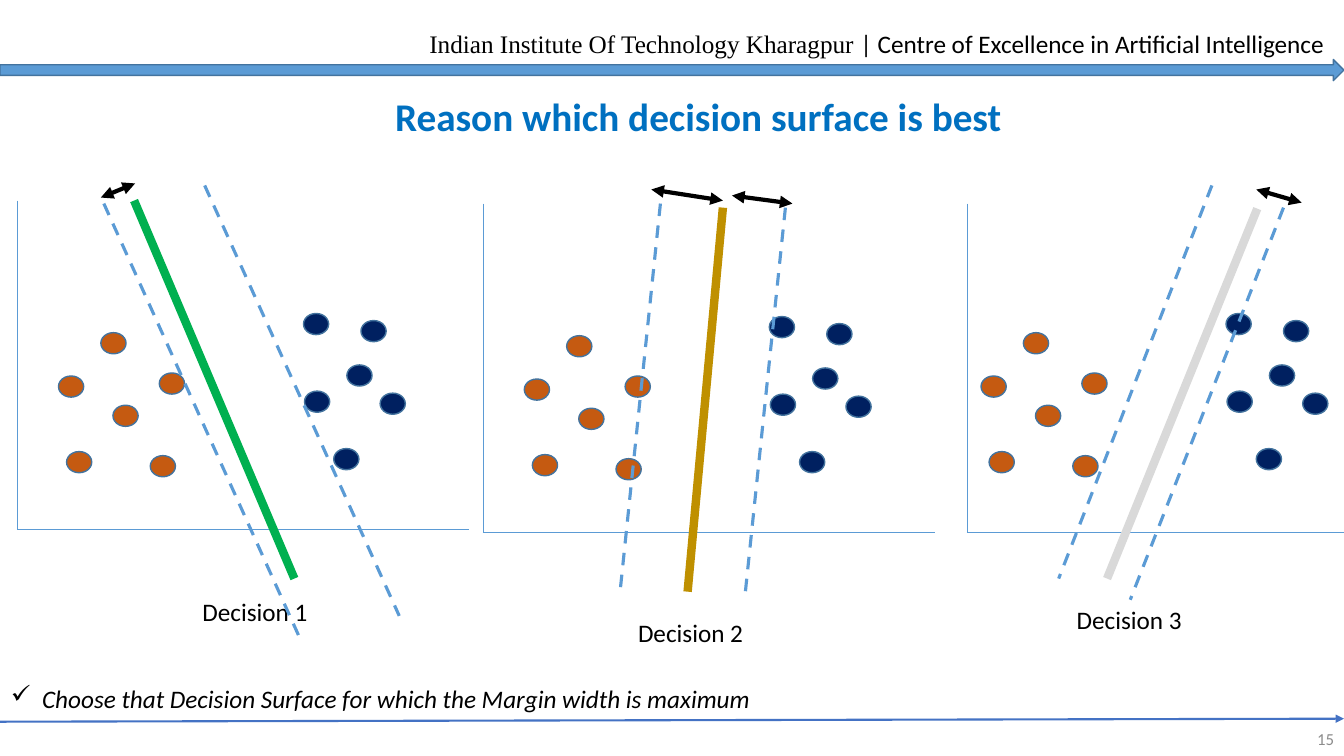
"""Build the slide that compares the margins of three decision surfaces."""
import pptx
import pptx.dml.color
import pptx.enum.dml
import pptx.enum.shapes
import pptx.enum.text
import pptx.oxml.ns
import pptx.util
from lxml import etree

Inches = pptx.util.Inches
Pt = pptx.util.Pt
RGBColor = pptx.dml.color.RGBColor
MSO_SHAPE = pptx.enum.shapes.MSO_SHAPE
PP_ALIGN = pptx.enum.text.PP_ALIGN
qn = pptx.oxml.ns.qn

BLACK = RGBColor(0x00, 0x00, 0x00)
GRAY = RGBColor(0x8C, 0x8C, 0x8C)
TITLE_BLUE = RGBColor(0x00, 0x70, 0xC0)
LIGHT_BLUE = RGBColor(0x5B, 0x9B, 0xD5)
FOOTER_BLUE = RGBColor(0x44, 0x72, 0xC4)
OUTLINE_BLUE = RGBColor(0x43, 0x73, 0x9E)
NAVY = RGBColor(0x00, 0x20, 0x60)
ORANGE = RGBColor(0xC5, 0x5A, 0x11)
GREEN = RGBColor(0x00, 0xB0, 0x50)
GOLD = RGBColor(0xBF, 0x90, 0x00)
SILVER = RGBColor(0xD9, 0xD9, 0xD9)

presentation = pptx.Presentation()
presentation.slide_width = Inches(13.33)
presentation.slide_height = Inches(7.5)
slide = presentation.slides.add_slide(presentation.slide_layouts[6])


def add_text(text, left, top, width, height=0.4, size=18, color=BLACK, font="Calibri",
             bold=False, italic=False, align=PP_ALIGN.LEFT, wrap=False,
             anchor=pptx.enum.text.MSO_ANCHOR.TOP):
    box = slide.shapes.add_textbox(Inches(left), Inches(top), Inches(width), Inches(height))
    box.text_frame.word_wrap = wrap
    box.text_frame.vertical_anchor = anchor
    paragraph = box.text_frame.paragraphs[0]
    paragraph.alignment = align
    run = paragraph.add_run()
    run.text = text
    run.font.name = font
    run.font.size = Pt(size)
    run.font.bold = bold
    run.font.italic = italic
    run.font.color.rgb = color
    return paragraph


def add_line(start, end, color, width, dashed=False, arrowheads=()):
    connector = slide.shapes.add_connector(
        pptx.enum.shapes.MSO_CONNECTOR.STRAIGHT,
        Inches(start[0]), Inches(start[1]), Inches(end[0]), Inches(end[1]))
    connector.line.color.rgb = color
    connector.line.width = Pt(width)
    if dashed:
        connector.line.dash_style = pptx.enum.dml.MSO_LINE.DASH
    properties = connector.line._get_or_add_ln()
    for arrowhead in arrowheads:
        etree.SubElement(properties, qn(f"a:{arrowhead}"), type="triangle")
    etree.SubElement(connector._element.spPr, qn("a:effectLst"))


header = add_text("Indian Institute Of Technology Kharagpur ", 4.16, 0.23, 9.18,
                  font="Times New Roman")
centre = header.add_run()
centre.text = "| Centre of Excellence in Artificial Intelligence"
centre.font.name = "Calibri"
centre.font.size = Pt(18)
centre.font.color.rgb = BLACK

header_arrow = slide.shapes.add_shape(
    MSO_SHAPE.RIGHT_ARROW, Inches(0), Inches(0.59), Inches(13.33), Inches(0.21))
header_arrow.shadow.inherit = False
header_arrow.fill.solid()
header_arrow.fill.fore_color.rgb = LIGHT_BLUE
header_arrow.line.color.rgb = OUTLINE_BLUE
header_arrow.line.width = Pt(1)

add_line((0, 7.16), (13.33, 7.13), FOOTER_BLUE, 1.5, arrowheads=["tailEnd"])
add_text("15", 10.33, 7.13, 3, size=12, color=GRAY, align=PP_ALIGN.RIGHT, wrap=True,
         anchor=pptx.enum.text.MSO_ANCHOR.MIDDLE)
add_text("Reason which decision surface is best", 3.82, 0.87, 6.28, 0.57,
         size=28, color=TITLE_BLUE, bold=True)

classes = [
    (ORANGE, [(0.58, 3.73), (1.12, 4.02), (0.66, 4.48), (1, 3.3), (1.49, 4.52), (1.58, 3.7)]),
    (NAVY, [(3.01, 3.11), (3.58, 3.18), (3.77, 3.9), (3.02, 3.88), (3.44, 3.62), (3.31, 4.45)]),
]
panels = [
    {"points": (0, 0), "axis": (0.17, 1.99), "axis_end": 4.65,
     "surface": (GREEN, (1.33, 1.99), (2.92, 5.74)), "label": (1.91, 5.87),
     "margins": [((1.03, 2.02), (2.96, 6.3)), ((2.03, 1.84), (3.96, 6.11))],
     "widths": [((1, 1.96), (1.34, 1.82))]},
    {"points": (4.62, 0.03), "axis": (4.79, 2.02), "axis_end": 9.27,
     "surface": (GOLD, (7.17, 2.06), (6.82, 5.87)), "label": (6.23, 6.08),
     "margins": [((6.55, 2.02), (6.15, 5.87)), ((7.79, 2.06), (7.39, 5.9))],
     "widths": [((6.46, 1.88), (7.17, 1.99)), ((7.26, 1.94), (7.86, 2.02))]},
    {"points": (9.15, 0), "axis": (9.59, 2.02), "axis_end": 13.33,
     "surface": (SILVER, (12.47, 2.07), (10.98, 5.74)), "label": (10.58, 5.95),
     "margins": [((12.73, 2.06), (11.21, 5.95)), ((12.02, 1.84), (10.5, 5.74))],
     "widths": [((12.46, 1.88), (12.91, 2.01))]},
]

for number, panel in enumerate(panels, start=1):
    axis_left, axis_top = panel["axis"]
    axis_bottom = axis_top + 3.26
    add_line((axis_left, axis_bottom), (panel["axis_end"], axis_bottom), LIGHT_BLUE, 0.5)
    add_line((axis_left, axis_top), (axis_left, axis_bottom), LIGHT_BLUE, 0.5)

    shift_x, shift_y = panel["points"]
    for color, points in classes:
        for left, top in points:
            point = slide.shapes.add_shape(
                MSO_SHAPE.OVAL, Inches(left + shift_x), Inches(top + shift_y),
                Inches(0.25), Inches(0.21))
            point.shadow.inherit = False
            point.fill.solid()
            point.fill.fore_color.rgb = color
            point.line.color.rgb = OUTLINE_BLUE
            point.line.width = Pt(1)

    surface_color, surface_start, surface_end = panel["surface"]
    add_line(surface_start, surface_end, surface_color, 6)
    add_text(f"Decision {number}", *panel["label"], 1.26)
    for start, end in panel["margins"]:
        add_line(start, end, LIGHT_BLUE, 2.25, dashed=True)
    for start, end in panel["widths"]:
        add_line(start, end, BLACK, 3, arrowheads=["headEnd", "tailEnd"])

conclusion = add_text("Choose that Decision Surface for which the Margin width is maximum",
                      0.01, 6.58, 8.86, 0.51, italic=True, wrap=True)
conclusion_properties = conclusion._p.get_or_add_pPr()
conclusion_properties.set("marL", str(Inches(0.31)))
conclusion_properties.set("indent", str(-Inches(0.31)))
etree.SubElement(conclusion_properties, qn("a:buChar"), char="✓")
conclusion.line_spacing = 1.5

presentation.save("out.pptx")
